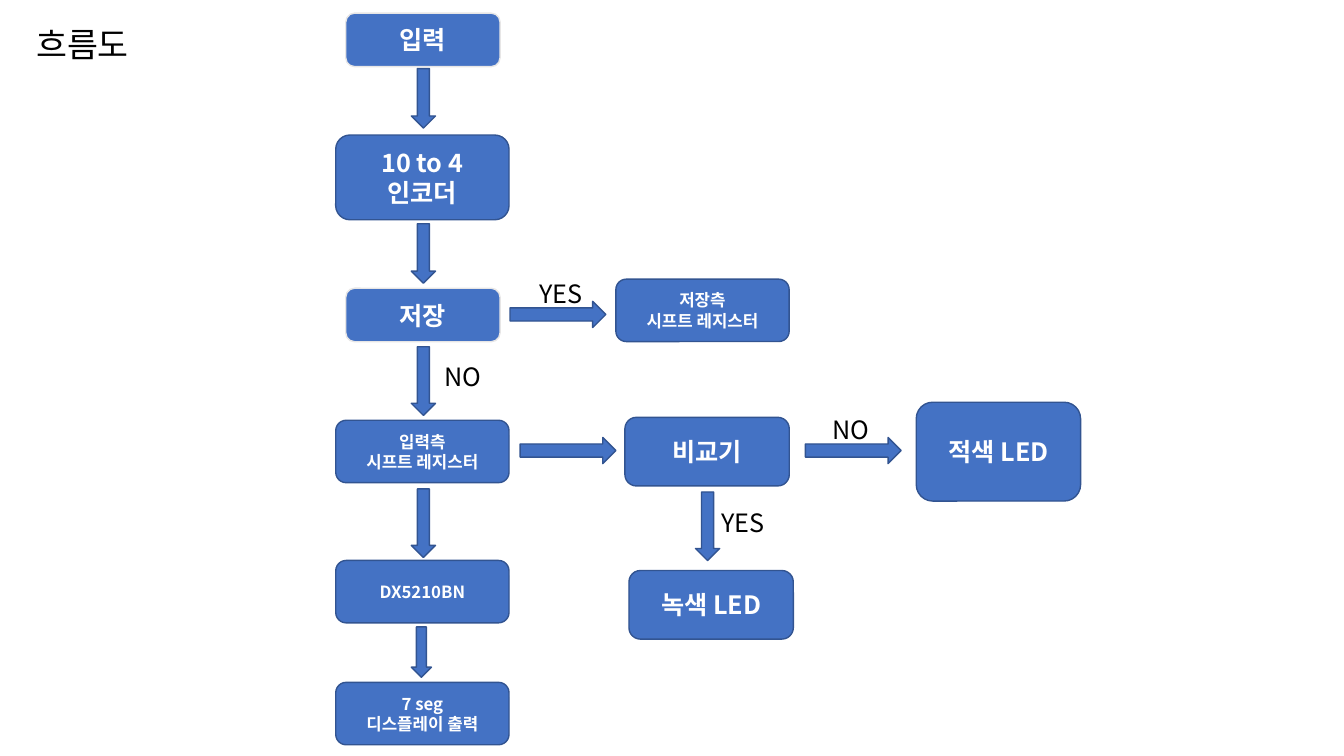
"""Build a flowchart slide of boxes, block arrows and branch labels."""
from dataclasses import dataclass

from lxml.etree import SubElement
from pptx import Presentation
from pptx.dml.color import RGBColor
from pptx.enum.shapes import MSO_SHAPE
from pptx.enum.text import MSO_ANCHOR, PP_ALIGN
from pptx.oxml.ns import qn
from pptx.shapes.autoshape import Shape
from pptx.slide import Slide
from pptx.text.text import TextFrame
from pptx.util import Pt

FONT = "Noto Sans CJK KR"
COLORS = {
    "fill": "4472C4",
    "edge": "325491",
    "light": "E7E6E6",
    "white": "FFFFFF",
    "black": "000000",
}


@dataclass(frozen=True)
class Box:
    lines: tuple[str, ...]
    x: float
    y: float
    w: float
    h: float
    size: int = 18
    edge: str = "edge"


@dataclass(frozen=True)
class Arrow:
    kind: MSO_SHAPE
    x: float
    y: float
    w: float
    h: float


@dataclass(frozen=True)
class Label:
    text: str
    x: float
    y: float
    w: float
    h: float = 28.8
    size: int = 18


def step(text: str, y: float) -> Box:
    return Box((text,), 247, y, 110.2, 38.2, edge="light")


def unit(lines: tuple[str, ...], y: float, x: float = 239.8) -> Box:
    return Box(lines, x, y, 123.8, 44.6, size=12)


def down(y: float, h: float, x: float = 293.8, w: float = 17.3) -> Arrow:
    return Arrow(MSO_SHAPE.DOWN_ARROW, x, y, w, h)


def right(x: float, y: float) -> Arrow:
    return Arrow(MSO_SHAPE.RIGHT_ARROW, x, y, 68.4, 18.7)


BOXES = (
    step("입력", 9.4),
    Box(("10 to 4", "인코더"), 239.8, 96.5, 123.8, 60.5),
    step("저장", 205.9),
    unit(("저장측", "시프트 레지스터"), 199.4, x=439.9),
    unit(("입력측", "시프트 레지스터"), 300.2),
    unit(("DX5210BN",), 400.3),
    unit(("7 seg", "디스플레이 출력"), 487.4),
    Box(("비교기",), 446.4, 298.1, 117.4, 49),
    Box(("녹색 LED",), 449.3, 407.5, 117.4, 49),
    Box(("적색 LED",), 654.5, 287.3, 117.4, 70.6),
)
ARROWS = (
    down(49, 42.5),
    down(159.8, 42.5),
    down(247.7, 49),
    down(349.2, 49),
    down(447.8, 36, w=14.4),
    down(351.4, 49, x=496.8),
    right(364.3, 215.3),
    right(371.5, 312.5),
    right(575.3, 312.5),
)
LABELS = (
    Label("흐름도", 18.7, 13.7, 154, h=36, size=24),
    Label("YES", 378, 195.1, 46),
    Label("NO", 310.3, 254.9, 43.2),
    Label("NO", 587.5, 292.3, 43.2),
    Label("YES", 508.3, 358.6, 46),
)


def rgb(name: str) -> RGBColor:
    return RGBColor.from_string(COLORS[name])


def write(tf: TextFrame, lines: tuple[str, ...], size: int, color: str,
          align: PP_ALIGN, bold: bool = False) -> None:
    for i, line in enumerate(lines):
        p = tf.add_paragraph() if i else tf.paragraphs[0]
        p.alignment = align
        r = p.add_run()
        r.text = line
        r.font.size = Pt(size)
        r.font.bold = bold
        r.font.color.rgb = rgb(color)
        r.font.name = FONT
        SubElement(r.font._element, qn("a:ea")).set("typeface", FONT)


def add_block(s: Slide, kind: MSO_SHAPE, item: Box | Arrow, edge: str) -> Shape:
    sp = s.shapes.add_shape(kind, Pt(item.x), Pt(item.y), Pt(item.w), Pt(item.h))
    sp.shadow.inherit = False
    sp.fill.solid()
    sp.fill.fore_color.rgb = rgb("fill")
    sp.line.color.rgb = rgb(edge)
    sp.line.width = Pt(1)
    return sp


def add_box(s: Slide, box: Box) -> None:
    tf = add_block(s, MSO_SHAPE.ROUNDED_RECTANGLE, box, box.edge).text_frame
    tf.word_wrap = True
    tf.vertical_anchor = MSO_ANCHOR.MIDDLE
    write(tf, box.lines, box.size, "white", PP_ALIGN.CENTER, bold=True)


def add_label(s: Slide, label: Label) -> None:
    sp = s.shapes.add_textbox(Pt(label.x), Pt(label.y), Pt(label.w), Pt(label.h))
    tf = sp.text_frame
    tf.word_wrap = True
    tf.margin_right = 0
    write(tf, (label.text,), label.size, "black", PP_ALIGN.LEFT)


def main() -> None:
    prs = Presentation()
    prs.slide_width, prs.slide_height = Pt(960), Pt(540)
    s = prs.slides.add_slide(prs.slide_layouts[6])
    for box in BOXES:
        add_box(s, box)
    for arrow in ARROWS:
        add_block(s, arrow.kind, arrow, "edge")
    for label in LABELS:
        add_label(s, label)
    prs.save("out.pptx")


main()
